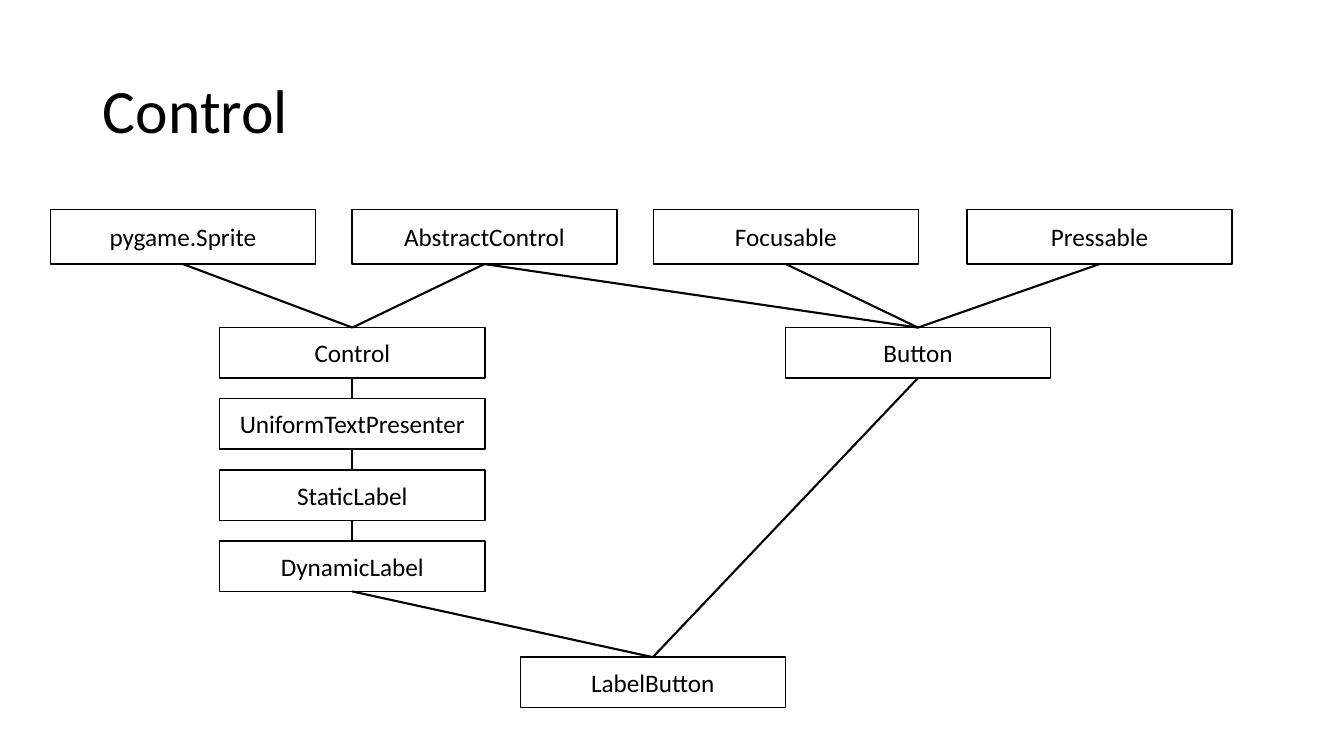
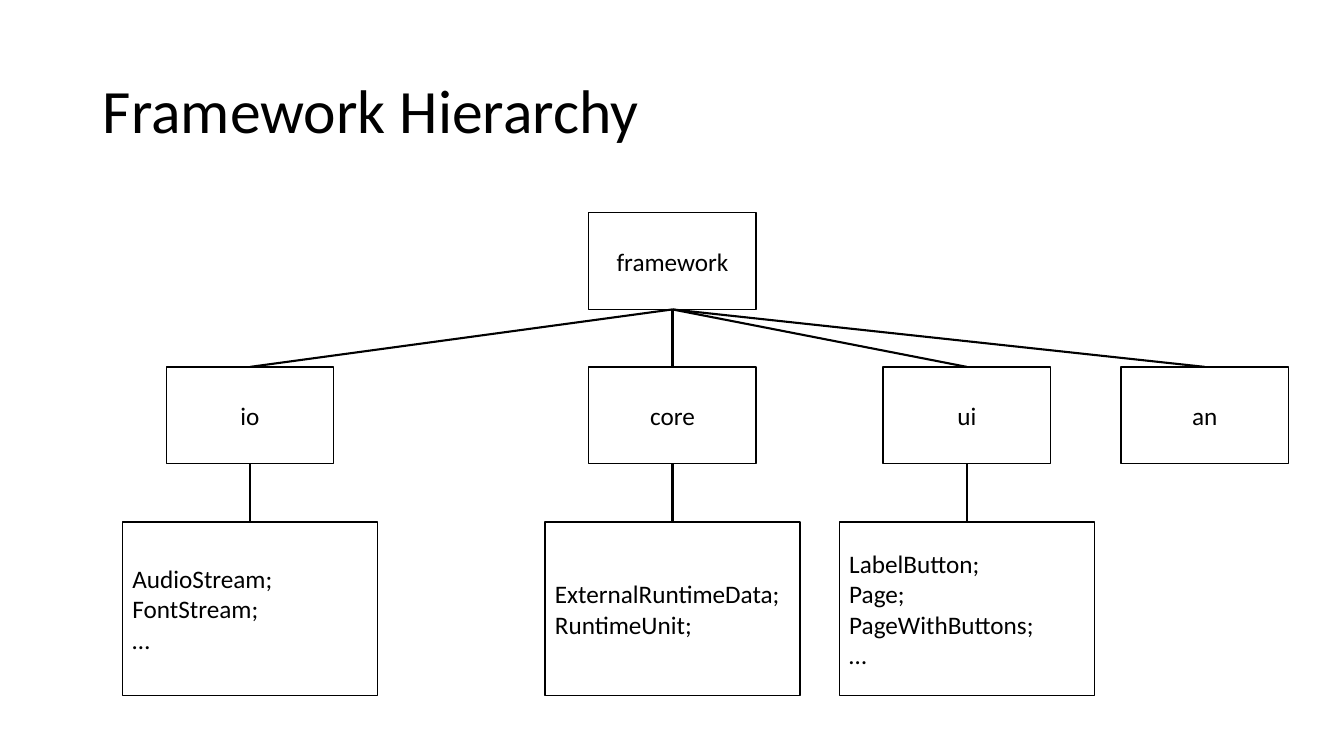
"""Build two class diagram slides: the control classes and the framework hierarchy."""
from dataclasses import dataclass

from lxml.etree import SubElement
from pptx import Presentation
from pptx.dml.color import RGBColor
from pptx.enum.shapes import MSO_CONNECTOR, MSO_SHAPE
from pptx.enum.text import MSO_ANCHOR, MSO_AUTO_SIZE, PP_ALIGN
from pptx.oxml.ns import qn
from pptx.util import Inches, Pt

TOP, BOTTOM = 0, 2


@dataclass(frozen=True)
class Theme:
    font: str = "Calibri"
    ink: RGBColor = RGBColor(0, 0, 0)
    paper: RGBColor = RGBColor(255, 255, 255)
    title_size: int = 44
    box_size: int = 18
    border: float = 1
    link: float = 1.5


THEME = Theme()


def set_text(sp, text, size=THEME.box_size, align=PP_ALIGN.CENTER, spacing=None):
    tf = sp.text_frame
    tf.word_wrap = True
    tf.auto_size = MSO_AUTO_SIZE.NONE
    tf.vertical_anchor = MSO_ANCHOR.MIDDLE
    tf.text = text
    for p in tf.paragraphs:
        p.alignment = align
        p.line_spacing = spacing
        for r in p.runs:
            r.font.name = THEME.font
            r.font.size = Pt(size)
            r.font.color.rgb = THEME.ink


def add_titled_slide(prs, title):
    slide = prs.slides.add_slide(prs.slide_layouts[5])
    sp = slide.shapes.title
    sp.left, sp.top = Inches(0.92), Inches(0.4)
    sp.width, sp.height = Inches(11.5), Inches(1.45)
    set_text(sp, title, size=THEME.title_size, align=PP_ALIGN.LEFT, spacing=0.9)
    return slide


def add_box(slide, text, left, top, width, height, **text_format):
    sp = slide.shapes.add_shape(
        MSO_SHAPE.RECTANGLE, Inches(left), Inches(top), Inches(width), Inches(height))
    sp.shadow.inherit = False
    sp.fill.solid()
    sp.fill.fore_color.rgb = THEME.paper
    sp.line.color.rgb = THEME.ink
    sp.line.width = Pt(THEME.border)
    set_text(sp, text, **text_format)
    return sp


def link_down(slide, upper, lower):
    line = slide.shapes.add_connector(MSO_CONNECTOR.STRAIGHT, 0, 0, 0, 0)
    line.begin_connect(upper, BOTTOM)
    line.end_connect(lower, TOP)
    line.line.color.rgb = THEME.ink
    line.line.width = Pt(THEME.link)
    SubElement(line._element.spPr, qn("a:effectLst"))


def build_control(prs):
    slide = add_titled_slide(prs, "Control")
    width, base_height, height = 2.63, 0.54, 0.5
    base_top, class_top, class_pitch = 2.08, 3.25, 0.706
    bases = {"pygame.Sprite": 0.5, "AbstractControl": 3.49,
             "Focusable": 6.48, "Pressable": 9.59}
    chain = ["Control", "UniformTextPresenter", "StaticLabel", "DynamicLabel"]

    boxes = {name: add_box(slide, name, left, base_top, width, base_height)
             for name, left in bases.items()}
    for i, name in enumerate(chain):
        boxes[name] = add_box(
            slide, name, 2.18, class_top + i * class_pitch, width, height)
    boxes["Button"] = add_box(slide, "Button", 7.79, class_top, width, height)
    boxes["LabelButton"] = add_box(slide, "LabelButton", 5.16, 6.52, width, height)

    parents = {"Control": ["pygame.Sprite", "AbstractControl"],
               "Button": ["AbstractControl", "Focusable", "Pressable"],
               "LabelButton": ["DynamicLabel", "Button"]}
    parents.update({child: [parent] for parent, child in zip(chain, chain[1:])})
    for child, names in parents.items():
        for parent in names:
            link_down(slide, boxes[parent], boxes[child])


def build_hierarchy(prs):
    slide = add_titled_slide(prs, "Framework Hierarchy")
    width, height = 1.66, 0.96
    list_width, list_height = 2.53, 1.72
    root_top, package_top, list_top = 2.11, 3.64, 5.18
    packages = [
        ("io", 2.48, ["AudioStream;", "FontStream;", "…"]),
        ("core", 6.67, ["ExternalRuntimeData;", "RuntimeUnit;"]),
        ("ui", 9.59, ["LabelButton;", "Page;", "PageWithButtons;", "…"]),
        ("an", 11.95, []),
    ]

    root = add_box(slide, "framework", 6.67 - width / 2, root_top, width, height)
    for name, center, classes in packages:
        box = add_box(slide, name, center - width / 2, package_top, width, height)
        link_down(slide, root, box)
        if classes:
            listing = add_box(
                slide, "\n".join(classes), center - list_width / 2, list_top,
                list_width, list_height, align=PP_ALIGN.LEFT)
            link_down(slide, box, listing)


def main():
    prs = Presentation()
    prs.slide_width, prs.slide_height = Inches(13.33), Inches(7.5)
    build_control(prs)
    build_hierarchy(prs)
    prs.save("out.pptx")


if __name__ == "__main__":
    main()
